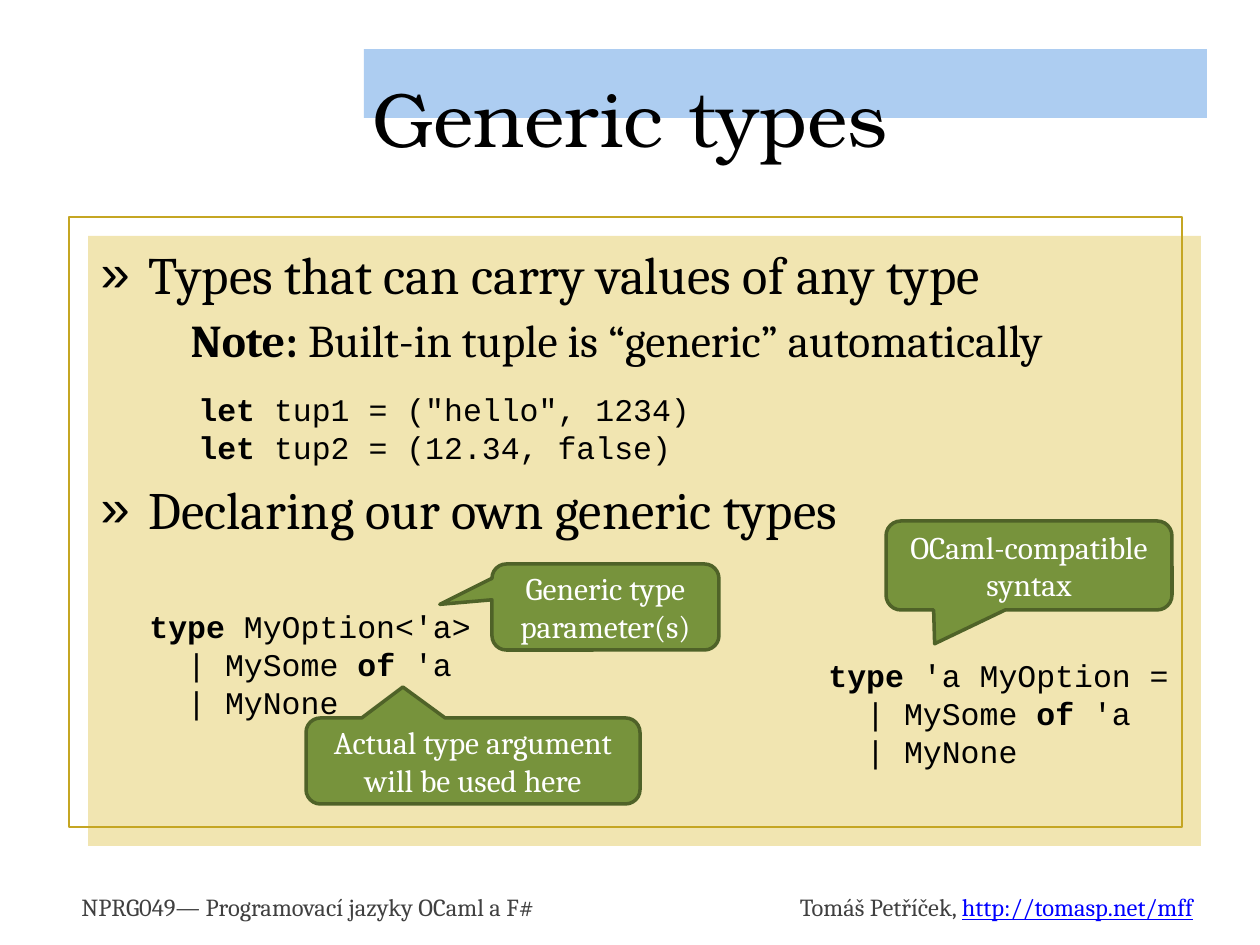
from pptx import Presentation
from pptx.dml.color import RGBColor
from pptx.enum.shapes import MSO_SHAPE as Shape
from pptx.enum.text import MSO_ANCHOR as Anchor, MSO_AUTO_SIZE as AutoSize, PP_ALIGN as Align
from pptx.oxml.ns import qn
from pptx.util import Pt
from lxml.etree import SubElement

EMU_PER_PX = 914400 / 126
SLIDE_SIZE = (1260, 945)
COLORS = {
    "black": "000000", "white": "FFFFFF", "gray": "404040", "link": "0000FF",
    "band": "ADCDF1", "panel": "F1E5B1", "frame": "C5A623",
    "callout": "77933C", "callout edge": "4F6228",
}
SERIF, MONO, DISPLAY = "Cambria", "Courier New", "TeX Gyre Bonum"

# Content: boxes are (left, top, width, height) in px; "*" marks bold runs
TITLE, TITLE_BOX = "Generic types", (63, 38, 1134, 158)
BODY_BOX = (88, 236, 1109, 607)
# runs, size, bulleted, space before, space after
BODY = [
    (["Types that can carry values of any type"], 30, True, 0, 0),
    (["*Note:", " Built-in tuple is “generic” automatically"], 26, False, 4, 4),
    (["Declaring our own generic types"], 30, True, 59, 0),
]
# box, fill, line
BACKDROP = [
    ((364, 49, 843, 69), "band", None),
    ((88, 236, 1113, 610), "panel", None),
    ((69, 217, 1113, 610), None, "frame"),
]
FOOTERS = [
    ((69, 886, 561, 43), Align.LEFT,
     [("NPRG049— Programovací jazyky OCaml a F#", "gray")]),
    ((650, 886, 561, 43), Align.RIGHT,
     [("Tomáš Petříček, ", "gray"), ("http://tomasp.net/mff", "link"), (" ", "black")]),
]
OPTION_CASES = [["  | MySome ", "*of ", "'a"], ["  | MyNone"]]
CODE = [
    ((137, 601, 462, 165), [["*type ", "MyOption<'a> ="]] + OPTION_CASES),
    ((186, 384, 549, 89), [["*let ", 'tup1 = ("hello", 1234)'],
                           ["*let ", "tup2 = (12.34, false)"]]),
    ((816, 650, 374, 165), [["*type ", "'a MyOption ="]] + OPTION_CASES),
]
# box, pointer tip as a share of the size from the centre, text
CALLOUTS = [
    ((492, 564, 227, 86), (-0.73, -0.03), "Generic type parameter(s)"),
    ((306, 718, 334, 86), (-0.21, -0.86), "Actual type argument will be used here"),
    ((886, 521, 286, 89), (-0.33, 0.88), "OCaml-compatible syntax"),
]


def px(length):
    return round(length * EMU_PER_PX)


def color(name):
    return RGBColor.from_string(COLORS[name])


def style(font, face, size, tint):
    font.name, font.size = face, Pt(size)
    font.color.rgb = color(tint)


def add_runs(paragraph, pieces):
    for piece in pieces:
        run = paragraph.add_run()
        run.text = piece.removeprefix("*")
        run.font.bold = piece.startswith("*")


def paragraphs(frame, items):
    """Pair each item with a paragraph of the frame."""
    for i, item in enumerate(items):
        yield (frame.add_paragraph() if i else frame.paragraphs[0]), item


def place(placeholder, box):
    placeholder.left, placeholder.top, placeholder.width, placeholder.height = map(px, box)
    placeholder.text_frame.auto_size = AutoSize.NONE
    tree.append(placeholder._element)  # in front of the backdrop
    return placeholder.text_frame


def add_block(kind, box, fill, line, line_width):
    block = slide.shapes.add_shape(kind, *map(px, box))
    block.shadow.inherit = False
    if fill:
        block.fill.solid()
        block.fill.fore_color.rgb = color(fill)
    else:
        block.fill.background()
    if line:
        block.line.color.rgb = color(line)
        block.line.width = Pt(line_width)
    else:
        block.line.fill.background()
    return block


def add_text(box):
    frame = slide.shapes.add_textbox(*map(px, box)).text_frame
    frame.word_wrap = True
    return frame


def set_bullet(paragraph, bulleted):
    props = paragraph._p.get_or_add_pPr()
    props.set("marL", str(px(48 if bulleted else 90)))
    props.set("indent", str(px(-48 if bulleted else 0)))
    if bulleted:
        SubElement(props, qn("a:buChar")).set("char", "»")
    else:
        SubElement(props, qn("a:buNone"))


deck = Presentation()
deck.slide_width, deck.slide_height = map(px, SLIDE_SIZE)
slide = deck.slides.add_slide(deck.slide_layouts[1])
tree = slide.shapes._spTree

# Backdrop and footers
for box, fill, line in BACKDROP:
    add_block(Shape.RECTANGLE, box, fill, line, 1.25)
for box, align, pieces in FOOTERS:
    footer = add_text(box).paragraphs[0]
    footer.alignment = align
    for text, tint in pieces:
        run = footer.add_run()
        run.text = text
        style(run.font, SERIF, 14, tint)
        run.font.underline = tint == "link"

# Body and title
body = place(slide.placeholders[1], BODY_BOX)
for point, (pieces, size, bulleted, before, after) in paragraphs(body, BODY):
    point.level = 0 if bulleted else 1
    point.space_before, point.space_after = Pt(before), Pt(after)
    set_bullet(point, bulleted)
    style(point.font, SERIF, size, "black")
    add_runs(point, pieces)

title = place(slide.shapes.title, TITLE_BOX)
title.text = TITLE
title.vertical_anchor = Anchor.MIDDLE
title.paragraphs[0].alignment = Align.CENTER
style(title.paragraphs[0].font, DISPLAY, 44, "black")

# Code samples
for box, lines in CODE:
    for code_line, pieces in paragraphs(add_text(box), lines):
        style(code_line.font, MONO, 18, "black")
        add_runs(code_line, pieces)

# Callouts
for box, tip, text in CALLOUTS:
    callout = add_block(Shape.ROUNDED_RECTANGULAR_CALLOUT, box, "callout", "callout edge", 2)
    callout.adjustments[0], callout.adjustments[1] = tip
    callout.text_frame.text = text
    callout.text_frame.vertical_anchor = Anchor.MIDDLE
    label = callout.text_frame.paragraphs[0]
    label.alignment = Align.CENTER
    style(label.font, SERIF, 18, "white")

deck.save("out.pptx")
